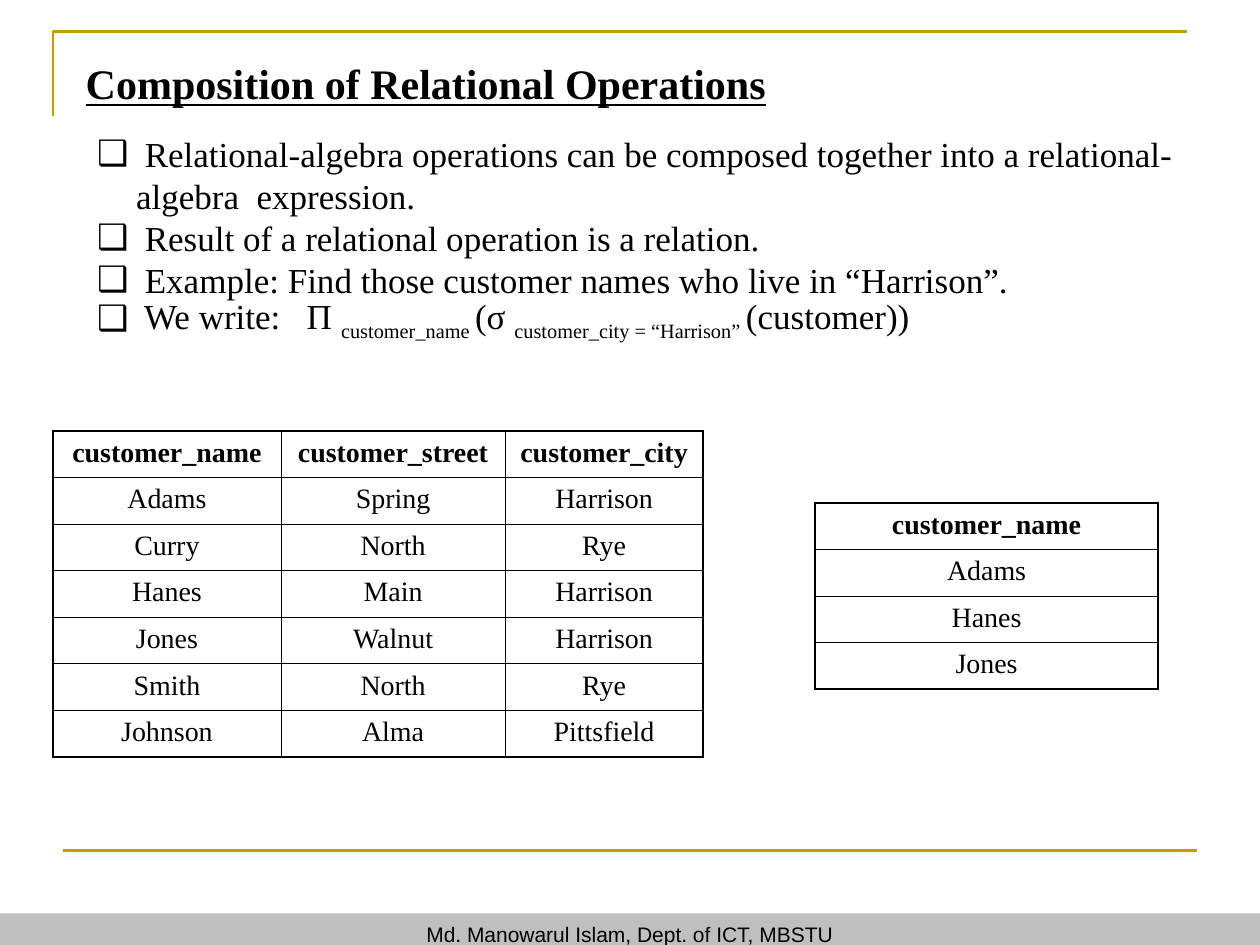
import pptx
import pptx.dml.color
import pptx.enum.shapes
import pptx.enum.text
import pptx.oxml
import pptx.oxml.ns
import pptx.util
from pptx.util import Inches

ALIGN = pptx.enum.text.PP_ALIGN
ANCHOR = pptx.enum.text.MSO_ANCHOR
SERIF = "Times New Roman"
GOLD, GREY, BLACK, WHITE = "CC9900", "BFBFBF", "000000", "FFFFFF"


def color(hex_value):
    return pptx.dml.color.RGBColor.from_string(hex_value)


def add_run(paragraph, text, size, name=SERIF, **formats):
    run = paragraph.add_run()
    run.text = text
    formats.update(size=pptx.util.Pt(size), name=name)
    for attribute, value in formats.items():
        setattr(run.font, attribute, value)
    run.font.color.rgb = color(BLACK)
    return run


presentation = pptx.Presentation()
presentation.slide_width = Inches(10)
presentation.slide_height = Inches(7.5)
slide = presentation.slides.add_slide(presentation.slide_layouts[1])
shapes = slide.shapes

# Gold corner and lower rule
corner_outline = shapes.build_freeform(Inches(0.42), Inches(0.92))
corner_outline.add_line_segments(
    [(Inches(0.42), Inches(0.25)), (Inches(9.42), Inches(0.25))], close=False)
corner = corner_outline.convert_to_shape()
corner.fill.background()
corner.shadow.inherit = False
lower_rule = shapes.add_connector(
    pptx.enum.shapes.MSO_CONNECTOR.STRAIGHT,
    Inches(0.5), Inches(6.75), Inches(9.5), Inches(6.75))
lower_rule._element.spPr.append(pptx.oxml.parse_xml(
    f'<a:effectLst {pptx.oxml.ns.nsdecls("a")}/>'))
for gold_line in (corner, lower_rule):
    gold_line.line.color.rgb = color(GOLD)
    gold_line.line.width = pptx.util.Pt(1.5)

# Footer bar
footer = shapes.add_shape(pptx.enum.shapes.MSO_SHAPE.RECTANGLE,
                          0, Inches(7.25), Inches(10), Inches(0.33))
footer.shadow.inherit = False
footer.fill.solid()
footer.fill.fore_color.rgb = color(GREY)
footer.line.fill.background()
footer.text_frame.vertical_anchor = ANCHOR.MIDDLE
credit = footer.text_frame.paragraphs[0]
credit.alignment = ALIGN.CENTER
add_run(credit, "Md. Manowarul Islam, Dept. of ICT, MBSTU", 12, "Arial")

# Heading and list placeholders
heading = shapes.title
points = slide.placeholders[1]
for placeholder, bounds in ((heading, (0.58, 0.41, 6.92, 0.5)),
                            (points, (0.67, 1, 9.33, 2.82))):
    for side, length in zip(("left", "top", "width", "height"), bounds):
        setattr(placeholder, side, Inches(length))
    frame_format = {"word_wrap": True, "vertical_anchor": ANCHOR.TOP,
                    "auto_size": pptx.enum.text.MSO_AUTO_SIZE.NONE}
    for attribute, value in frame_format.items():
        setattr(placeholder.text_frame, attribute, value)

heading_line = heading.text_frame.paragraphs[0]
heading_line.alignment = ALIGN.LEFT
add_run(heading_line, "Composition of Relational Operations", 24,
        bold=True, underline=True)

# Each point is a list of runs; every second run is a subscript
point_runs = [
    [" Relational-algebra operations can be composed together into a "
     "relational-algebra  expression."],
    [" Result of a relational operation is a relation."],
    [" Example: Find those customer names who live in “Harrison”."],
    [" We write:   Π ", "customer_name ", "(σ ",
     "customer_city = “Harrison” ", "(customer))"],
]
for index, runs in enumerate(point_runs):
    frame = points.text_frame
    point = frame.add_paragraph() if index else frame.paragraphs[0]
    point_properties = point._p.get_or_add_pPr()
    point_properties.set("marL", str(Inches(0.31)))
    point_properties.set("indent", str(Inches(-0.31)))
    for bullet_part in (f'buClr {{}}><a:srgbClr val="{BLACK}"/></a:buClr>',
                        'buFont {} typeface="Arial"/>',
                        'buChar {} char="❑"/>'):
        point_properties.append(pptx.oxml.parse_xml(
            "<a:" + bullet_part.format(pptx.oxml.ns.nsdecls("a"))))
    point_format = {"alignment": ALIGN.LEFT, "space_before": pptx.util.Pt(0),
                    "line_spacing": pptx.util.Pt(24)}
    for attribute, value in point_format.items():
        setattr(point, attribute, value)
    for position, text in enumerate(runs):
        run = add_run(point, text, 20)
        if position % 2:
            run._r.get_or_add_rPr().set("baseline", "-25000")

# Customer relation and query result
customers = [
    ("customer_name", "customer_street", "customer_city"),
    ("Adams", "Spring", "Harrison"),
    ("Curry", "North", "Rye"),
    ("Hanes", "Main", "Harrison"),
    ("Jones", "Walnut", "Harrison"),
    ("Smith", "North", "Rye"),
    ("Johnson", "Alma", "Pittsfield"),
]
harrison_customers = [("customer_name",), ("Adams",), ("Hanes",), ("Jones",)]
ROW_HEIGHT = 0.37

for records, left, top, widths in (
        (customers, 0.42, 3.42, (1.81, 1.78, 1.57)),
        (harrison_customers, 6.47, 3.99, (2.72,))):
    relation = shapes.add_table(
        len(records), len(widths), Inches(left), Inches(top),
        Inches(sum(widths)), Inches(ROW_HEIGHT * len(records))).table
    relation.first_row = relation.horz_banding = False
    for column, width in zip(relation.columns, widths):
        column.width = Inches(width)
    for row_index, record in enumerate(records):
        relation.rows[row_index].height = Inches(ROW_HEIGHT)
        for column_index, value in enumerate(record):
            cell = relation.cell(row_index, column_index)
            # Outer edges are heavier than inner ones
            outer_edges = {"L": column_index == 0,
                           "R": column_index == len(widths) - 1,
                           "T": row_index == 0,
                           "B": row_index == len(records) - 1}
            for side, outer in outer_edges.items():
                weight = pptx.util.Pt(1.08 if outer else 0.45)
                cell._tc.get_or_add_tcPr().append(pptx.oxml.parse_xml(
                    f'<a:ln{side} {pptx.oxml.ns.nsdecls("a")} w="{weight}">'
                    f'<a:solidFill><a:srgbClr val="{BLACK}"/></a:solidFill>'
                    f'</a:ln{side}>'))
            cell.fill.solid()
            cell.fill.fore_color.rgb = color(WHITE)
            entry = cell.text_frame.paragraphs[0]
            entry.alignment = ALIGN.CENTER
            add_run(entry, value, 16, bold=row_index == 0)

presentation.save("out.pptx")
